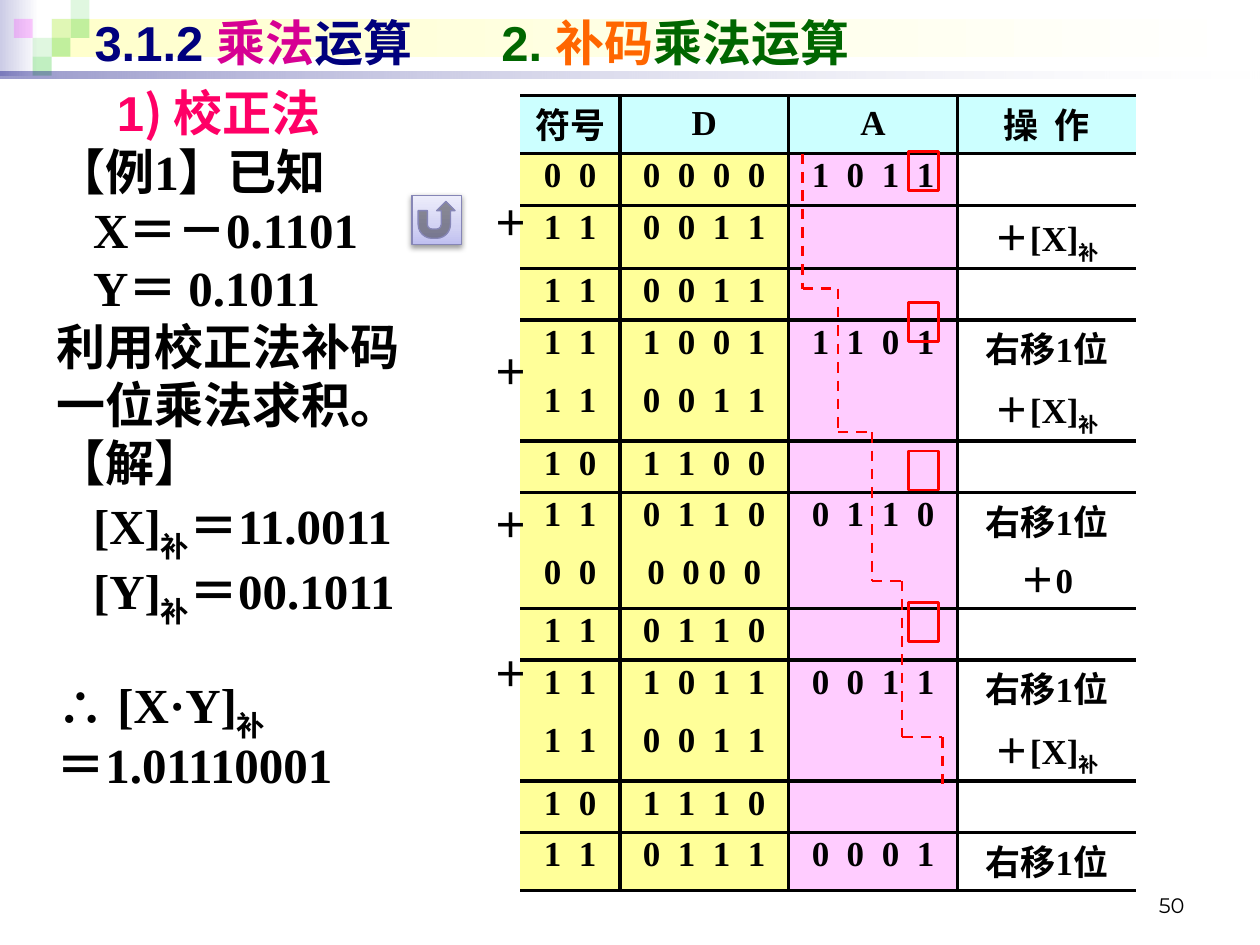
from dataclasses import dataclass
from itertools import pairwise

from lxml.etree import SubElement
from pptx import Presentation
from pptx.dml.color import RGBColor
from pptx.enum.dml import MSO_LINE
from pptx.enum.shapes import MSO_CONNECTOR, MSO_SHAPE
from pptx.enum.text import MSO_ANCHOR, MSO_AUTO_SIZE, PP_ALIGN
from pptx.oxml import parse_xml
from pptx.oxml.ns import nsdecls, qn
from pptx.util import Inches, Pt


@dataclass(frozen=True)
class Theme:
    """Colours, fonts and type sizes of the slide."""
    black: str = "000000"
    navy: str = "00007D"
    magenta: str = "D60093"
    green: str = "006600"
    orange: str = "FF6600"
    pink: str = "FF0066"
    red: str = "FF0000"
    header: str = "CCFFFF"
    yellow: str = "FFFF99"
    lilac: str = "FFCCFF"
    button_line: str = "8686B6"
    heading_font: str = "Arial"
    text_font: str = "Times New Roman"
    number_font: str = "Montserrat"
    asian_font: str = "Noto Sans CJK SC"
    large: int = 28
    medium: int = 20
    small: int = 12


THEME = Theme()
GREEN_SQUARE, MAGENTA_SQUARE = "33CC33", "FF00FF"
SQUARES = [(2, 1, GREEN_SQUARE, 15), (3, 0, GREEN_SQUARE, 15), (3, 1, GREEN_SQUARE, 30),
           (1, 2, GREEN_SQUARE, 15), (0, 1, MAGENTA_SQUARE, 20), (2, 2, GREEN_SQUARE, 30),
           (1, 3, GREEN_SQUARE, 30)]
BODY_LINES = [("【例1】已知", 0), ("X＝－0.1101", 0.29), ("Y＝ 0.1011", 0.29),
              ("利用校正法补码", 0), ("一位乘法求积。", 0), ("【解】", 0),
              ("[X]_补_＝11.0011", 0.29), ("[Y]_补_＝00.1011", 0.29),
              ("∴ [X·Y]_补", 0), ("＝1.01110001", 0)]
SHIFT, ADD = "右移1位", "＋[X]_补"
STEPS = [
    [("0  0", "0  0  0  0", "1  0  1  1", ""), ("1  1", "0  0  1  1", "", ADD)],
    [("1  1", "0  0  1  1", "", ""), ("1  1", "1  0  0  1", "1  1  0  1", SHIFT),
     ("1  1", "0  0  1  1", "", ADD)],
    [("1  0", "1  1  0  0", "", ""), ("1  1", "0  1  1  0", "0  1  1  0", SHIFT),
     ("0  0", "0  0 0  0", "", "＋0")],
    [("1  1", "0  1  1  0", "", ""), ("1  1", "1  0  1  1", "0  0  1  1", SHIFT),
     ("1  1", "0  0  1  1", "", ADD)],
    [("1  0", "1  1  1  0", "", ""), ("1  1", "0  1  1  1", "0  0  0  1", SHIFT)],
]
ROW_HEIGHTS = {"": 0.41, SHIFT: 0.46, ADD: 0.5, "＋0": 0.46}


def add_run(paragraph, text, size, color=THEME.black, font=THEME.text_font, bold=True):
    """Add one formatted run and return it."""
    run = paragraph.add_run()
    run.text = text
    run.font.size, run.font.bold, run.font.name = Pt(size), bold, font
    run.font.color.rgb = RGBColor.from_string(color)
    SubElement(run.font._element, qn("a:ea"), typeface=THEME.asian_font)
    return run


def add_marked_text(paragraph, text, size):
    """Add text whose parts between underscores are subscripts."""
    for index, part in enumerate(text.split("_")):
        run = add_run(paragraph, part, size)
        if index % 2:
            run.font._element.set("baseline", "-25000")


def add_text_box(slide, box, anchor=MSO_ANCHOR.TOP):
    """Add a wrapping text box and return its text frame."""
    frame = slide.shapes.add_textbox(*map(Inches, box)).text_frame
    frame.word_wrap, frame.vertical_anchor = True, anchor
    return frame


def add_shape(slide, kind, box, stops=(), angle=0, line=None, width=1.5):
    """Add a shape with (position, colour, opacity) fill stops and an optional outline."""
    shape = slide.shapes.add_shape(kind, *map(Inches, box))
    shape.shadow.inherit = False
    shape.fill.background()
    if stops:
        colors = [f'<a:srgbClr val="{color}"><a:alpha val="{opacity * 1000}"/></a:srgbClr>'
                  for _, color, opacity in stops]
        if len(stops) == 1:
            fill = f'<a:solidFill {nsdecls("a")}>{colors[0]}</a:solidFill>'
        else:
            marks = "".join(f'<a:gs pos="{stop[0] * 1000}">{color}</a:gs>'
                            for stop, color in zip(stops, colors))
            fill = (f'<a:gradFill {nsdecls("a")} rotWithShape="1"><a:gsLst>{marks}</a:gsLst>'
                    f'<a:lin ang="{angle * 60000}" scaled="0"/></a:gradFill>')
        properties = shape._element.spPr
        properties.replace(properties.find(qn("a:noFill")), parse_xml(fill))
    if line:
        shape.line.color.rgb = RGBColor.from_string(line)
        shape.line.width = Pt(width)
    else:
        shape.line.fill.background()
    return shape


def add_banner(slide, left, top, width):
    """Draw the gradient bars and the coloured squares behind the title."""
    bars = [((left, top, 0.31, 0.6), "CCCCE6", 100, 100),
            ((left + 0.41, top + 0.15, width - 0.45, 0.3), "FFFFCC", 100, 100)]
    rule = ((left, top + 0.57, width, 0.05), THEME.navy, 40, 10)
    for box, color, first, last in bars:
        add_shape(slide, MSO_SHAPE.RECTANGLE, box, [(0, color, first), (100, "FFFFFF", last)])
    side = 0.15
    for column, row, color, opacity in SQUARES:
        box = (left + 0.11 + column * side, top + row * side, side, side)
        add_shape(slide, MSO_SHAPE.RECTANGLE, box, [(0, color, opacity)])
    box, color, first, last = rule
    add_shape(slide, MSO_SHAPE.RECTANGLE, box, [(0, color, first), (100, "FFFFFF", last)])


def add_title(slide, box):
    """Place and fill the title placeholder."""
    title = slide.shapes.title
    title.left, title.top, title.width, title.height = map(Inches, box)
    frame = title.text_frame
    frame.auto_size, frame.vertical_anchor = MSO_AUTO_SIZE.NONE, MSO_ANCHOR.MIDDLE
    paragraph = frame.paragraphs[0]
    paragraph.alignment = PP_ALIGN.LEFT
    tabs = SubElement(paragraph._p.get_or_add_pPr(), qn("a:tabLst"))
    SubElement(tabs, qn("a:tab"), pos=str(Inches(3.23)), algn="l")
    for text, color in [("3.1.2 ", THEME.navy), ("乘法", THEME.magenta), ("运算\t", THEME.navy),
                        ("2. ", THEME.green), ("补码", THEME.orange), ("乘法运算", THEME.green)]:
        add_run(paragraph, text, THEME.large, color, THEME.heading_font)


def add_subtitle(slide, box):
    """Write the name of the method."""
    paragraph = add_text_box(slide, box, MSO_ANCHOR.MIDDLE).paragraphs[0]
    for text, font in [("1", THEME.heading_font), (") ", THEME.asian_font),
                       ("校正法", THEME.heading_font)]:
        add_run(paragraph, text, THEME.large, THEME.pink, font)


def add_example(slide, box):
    """Write the worked example."""
    frame = add_text_box(slide, box)
    for index, (text, indent) in enumerate(BODY_LINES):
        paragraph = frame.add_paragraph() if index else frame.paragraphs[0]
        paragraph.line_spacing = 0.84
        paragraph.space_before = Pt(33 if text.startswith("∴") else 5)
        paragraph._p.get_or_add_pPr().set("marL", str(Inches(indent)))
        add_marked_text(paragraph, text, THEME.large)


def format_cell(cell, text, fill, borders, anchor):
    """Write a table cell and set its fill and its drawn borders."""
    paragraph = cell.text_frame.paragraphs[0]
    paragraph.alignment, paragraph.line_spacing = PP_ALIGN.CENTER, 0.9
    if text:
        add_marked_text(paragraph, text, THEME.medium)
    cell.vertical_anchor = anchor
    properties = cell._tc.get_or_add_tcPr()
    for side in (side for side in "LRTB" if side in borders):
        line = SubElement(properties, qn(f"a:ln{side}"), w=str(Pt(2.25)))
        SubElement(SubElement(line, qn("a:solidFill")), qn("a:srgbClr"), val=THEME.black)
    if fill:
        cell.fill.solid()
        cell.fill.fore_color.rgb = RGBColor.from_string(fill)
    else:
        cell.fill.background()


def add_steps_table(slide, left, top):
    """Build the register table, ruled off after each step."""
    rows = [(("符号", "D", "A", "操  作"), 0.46, "TB")]
    for step in STEPS:
        for index, values in enumerate(step):
            edges = "T" * (index == 0) + "B" * (index == len(step) - 1)
            rows.append((values, ROW_HEIGHTS[values[3]], edges))
    widths = (0.79, 1.34, 1.34, 1.42)
    box = (left, top, sum(widths), sum(row[1] for row in rows))
    table = slide.shapes.add_table(len(rows), len(widths), *map(Inches, box)).table
    table.first_row = table.horz_banding = False
    style = table._tbl.tblPr.find(qn("a:tableStyleId"))
    style.text = "{2D5ABB26-0587-4C30-8999-92F81FD0307C}"
    for column, width in zip(table.columns, widths):
        column.width = Inches(width)
    body_fills = (THEME.yellow, THEME.yellow, THEME.lilac, None)
    for row, (values, height, edges) in enumerate(rows):
        table.rows[row].height = Inches(height)
        anchor = MSO_ANCHOR.TOP if row else MSO_ANCHOR.MIDDLE
        for column, text in enumerate(values):
            sides = "L" * (column > 0) + "R" * (column < len(widths) - 1)
            fill = body_fills[column] if row else THEME.header
            format_cell(table.cell(row, column), text, fill, sides + edges, anchor)


def add_markers(slide):
    """Draw the dashed staircase, the red bit frames and the plus signs."""
    corners = [(6.37, 1.22), (6.37, 2.29), (6.65, 2.29), (6.65, 3.43), (6.92, 3.43),
               (6.92, 4.61), (7.16, 4.61), (7.16, 5.85), (7.48, 5.85), (7.48, 6.26)]
    for start, end in pairwise(corners):
        line = slide.shapes.add_connector(MSO_CONNECTOR.STRAIGHT, *map(Inches, start + end))
        line.line.color.rgb = RGBColor.from_string(THEME.red)
        line.line.width, line.line.dash_style = Pt(1.5), MSO_LINE.DASH
        SubElement(line._element.spPr, qn("a:effectLst"))
    for top in (1.2, 2.4, 3.58, 4.78):
        add_shape(slide, MSO_SHAPE.RECTANGLE, (7.21, top, 0.24, 0.31), line=THEME.red)
    for top in (1.55, 2.73, 3.95, 5.13):
        paragraph = add_text_box(slide, (3.82, top, 0.47, 0.43), MSO_ANCHOR.MIDDLE).paragraphs[0]
        paragraph.alignment = PP_ALIGN.CENTER
        add_run(paragraph, "＋", THEME.medium)


def add_return_button(slide, box):
    """Draw the return button with its soft shadow."""
    stops = [(0, "BFBFF0", 100), (35, "D2D2F3", 100), (100, "EDEDFB", 100)]
    button = add_shape(slide, MSO_SHAPE.ACTION_BUTTON_RETURN, box, stops, 270,
                       THEME.button_line, 0.75)
    shadow = SubElement(button._element.spPr.find(qn("a:effectLst")), qn("a:outerShdw"),
                        blurRad=str(Pt(3.1)), dist=str(Pt(1.6)), dir="5400000", rotWithShape="0")
    SubElement(SubElement(shadow, qn("a:srgbClr"), val=THEME.black), qn("a:alpha"), val="38000")


def add_page_number(slide, box):
    """Write the page number."""
    paragraph = add_text_box(slide, box, MSO_ANCHOR.BOTTOM).paragraphs[0]
    paragraph.alignment = PP_ALIGN.RIGHT
    add_run(paragraph, "50", THEME.small, font=THEME.number_font, bold=False)


def main():
    """Build the slide and save it."""
    presentation = Presentation()
    presentation.slide_width, presentation.slide_height = Inches(10), Inches(7.5)
    slide = presentation.slides.add_slide(presentation.slide_layouts[5])
    add_banner(slide, 0, 0, 10)
    title = slide.shapes.title._element
    title.getparent().append(title)
    add_page_number(slide, (7.17, 6.83, 2.33, 0.5))
    add_title(slide, (0.65, 0.05, 9, 0.57))
    add_example(slide, (0.35, 1.15, 8.43, 6.14))
    add_subtitle(slide, (0.83, 0.6, 8.76, 0.57))
    add_steps_table(slide, 4.13, 0.76)
    add_markers(slide)
    add_return_button(slide, (3.27, 1.55, 0.39, 0.39))
    presentation.save("out.pptx")


if __name__ == "__main__":
    main()
